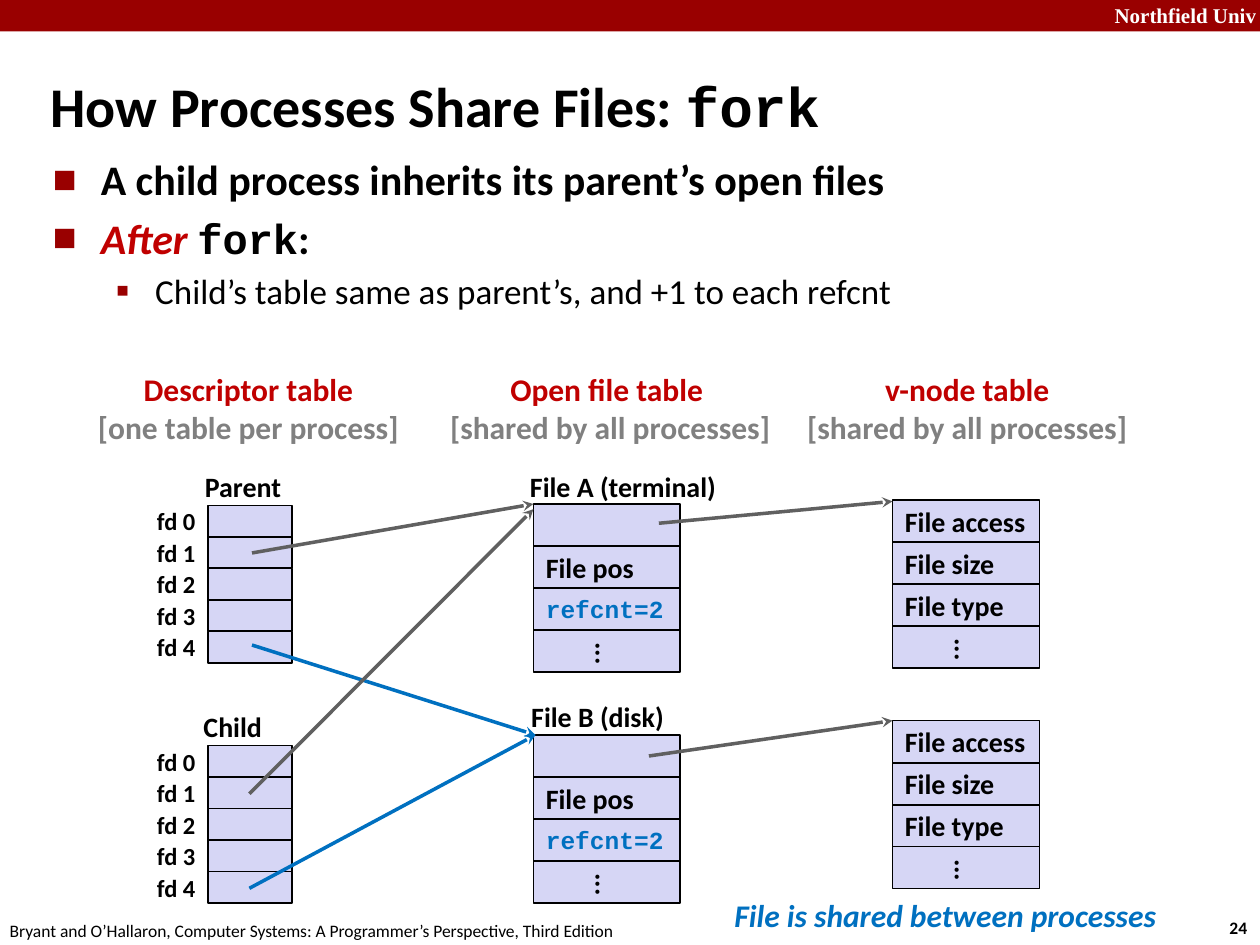
"""Build a slide on how parent and child processes share open files after fork."""
from dataclasses import dataclass

import lxml.etree
import pptx
import pptx.dml.color
import pptx.enum.shapes
import pptx.enum.text
import pptx.oxml.ns
import pptx.util

Pt = pptx.util.Pt
qn = pptx.oxml.ns.qn
Align = pptx.enum.text.PP_ALIGN
Anchor = pptx.enum.text.MSO_ANCHOR
COLORS = {
    "black": "000000", "white": "FFFFFF", "bar": "990000", "red": "C00000",
    "gray": "808080", "dark": "606060", "blue": "0070C0", "cell": "D6D6F5",
}


@dataclass
class Stack:
    """A column of equal cells."""
    left: float
    top: float
    width: float
    height: float
    rows: tuple


@dataclass
class Label:
    """Text lines in a box, each with its own colour."""
    lines: tuple
    left: float
    top: float
    width: float
    height: float
    size: float = 16
    align: Align = Align.LEFT
    hues: tuple = ("black",)
    font: str = "Calibri"
    bold: bool = True
    slant: bool = False
    wrap: bool = False


@dataclass
class Arrow:
    """A straight arrow between two points."""
    start: tuple
    end: tuple
    hue: str


def paint(name: str) -> pptx.dml.color.RGBColor:
    """Return the named colour."""
    return pptx.dml.color.RGBColor.from_string(COLORS[name])


def write(par, text: str, *, size: float, hue: str = "black", font: str = "Calibri",
          bold: bool = True, slant: bool = False) -> None:
    """Add a formatted run to a paragraph."""
    run = par.add_run()
    run.text = text
    run.font.size = Pt(size)
    run.font.name = font
    run.font.bold = bold
    run.font.italic = slant
    run.font.color.rgb = paint(hue)


def place(shape, left: float, top: float, width: float, height: float) -> None:
    """Move and size a shape, in points."""
    shape.left, shape.top = Pt(left), Pt(top)
    shape.width, shape.height = Pt(width), Pt(height)


def draw_box(slide, left: float, top: float, width: float, height: float,
             fill: str, edge: str | None = None):
    """Draw a flat rectangle."""
    box = slide.shapes.add_shape(pptx.enum.shapes.MSO_SHAPE.RECTANGLE,
                                 Pt(left), Pt(top), Pt(width), Pt(height))
    box.shadow.inherit = False
    box.fill.solid()
    box.fill.fore_color.rgb = paint(fill)
    if edge:
        box.line.color.rgb = paint(edge)
        box.line.width = Pt(1)
    else:
        box.line.fill.background()
    return box


def draw_stack(slide, stack: Stack) -> None:
    """Draw the cells of a stack from the top down."""
    for i, text in enumerate(stack.rows):
        box = draw_box(slide, stack.left, stack.top + i * stack.height,
                       stack.width, stack.height, "cell", "black")
        if not text:
            continue
        frame = box.text_frame
        frame.word_wrap = False
        frame.vertical_anchor = Anchor.MIDDLE
        par = frame.paragraphs[0]
        par.alignment = Align.LEFT
        if text.startswith("refcnt"):
            write(par, text, size=14, hue="blue", font="Courier New")
        else:
            write(par, text, size=16)
        if text == "...":
            frame._txBody.bodyPr.set("vert", "eaVert")


def draw_label(slide, label: Label) -> None:
    """Draw a text box."""
    box = slide.shapes.add_textbox(Pt(label.left), Pt(label.top),
                                   Pt(label.width), Pt(label.height))
    frame = box.text_frame
    frame.word_wrap = label.wrap
    frame.vertical_anchor = Anchor.MIDDLE
    for i, (text, hue) in enumerate(zip(label.lines, label.hues)):
        par = frame.add_paragraph() if i else frame.paragraphs[0]
        par.alignment = label.align
        write(par, text, size=label.size, hue=hue, font=label.font,
              bold=label.bold, slant=label.slant)


def draw_arrow(slide, arrow: Arrow) -> None:
    """Draw an arrow with a stealth head."""
    line = slide.shapes.add_connector(pptx.enum.shapes.MSO_CONNECTOR.STRAIGHT,
                                      *map(Pt, arrow.start + arrow.end))
    line.line.color.rgb = paint(arrow.hue)
    line.line.width = Pt(2)
    lxml.etree.SubElement(line.line._get_or_add_ln(), qn("a:tailEnd"), type="stealth")
    lxml.etree.SubElement(line._element.spPr, qn("a:effectLst"))


def add_point(par, sign: str, scale: int, left: float, hang: float, gap: float) -> None:
    """Give a paragraph its bullet, indent and gap."""
    par.space_before = Pt(gap)
    prop = par._p.get_or_add_pPr()
    prop.set("marL", str(Pt(left)))
    prop.set("indent", str(-Pt(hang)))
    hue = lxml.etree.SubElement(prop, qn("a:buClr"))
    lxml.etree.SubElement(hue, qn("a:srgbClr"), val=COLORS["bar"])
    lxml.etree.SubElement(prop, qn("a:buSzPct"), val=str(scale * 1000))
    lxml.etree.SubElement(prop, qn("a:buFont"), typeface="Calibri")
    lxml.etree.SubElement(prop, qn("a:buChar"), char=sign)


def fill_text(slide) -> None:
    """Fill the title and the list."""
    title, body = slide.shapes.title, slide.placeholders[1]
    place(title, 21.6, 30, 598, 60)
    place(body, 23, 84, 654, 102)
    for shape in (title, body):
        shape.text_frame.auto_size = pptx.enum.text.MSO_AUTO_SIZE.NONE
    title.text_frame.vertical_anchor = Anchor.MIDDLE
    head = title.text_frame.paragraphs[0]
    head.alignment = Align.LEFT
    write(head, "How Processes Share Files: ", size=32)
    write(head, "fork", size=32, font="Courier New")

    first = body.text_frame.paragraphs[0]
    after, child = (body.text_frame.add_paragraph() for _ in range(2))
    child.level = 1
    for par in (first, after):
        add_point(par, "■", 60, 27.4, 27.4, 4.8)
    add_point(child, "▪", 110, 58.5, 22.5, 4)
    write(first, "A child process inherits its parent’s open files", size=24)
    write(after, "After ", size=24, hue="red", slant=True)
    write(after, "fork", size=24, font="Courier New")
    write(after, ":", size=24)
    write(child, "Child’s table same as parent’s, and +1 to each refcnt", size=20, bold=False)


def main() -> None:
    """Build and save the slide."""
    deck = pptx.Presentation()
    deck.slide_width, deck.slide_height = Pt(720), Pt(540)
    slide = deck.slides.add_slide(deck.slide_layouts[1])
    fill_text(slide)
    draw_box(slide, 0, 0, 720, 18, "bar")

    for top in (288.8, 426):
        draw_stack(slide, Stack(118.8, top, 48, 18, ("",) * 5))
        for i in range(5):
            draw_label(slide, Label((f"fd {i}",), 70.8, top + 18 * i, 48, 18, 14, Align.RIGHT))
    for top in (288, 420):
        draw_stack(slide, Stack(304.8, top, 84, 24, ("", "File pos", "refcnt=2", "...")))
    for top in (285.8, 411.8):
        draw_stack(slide, Stack(510, top, 84, 24,
                                ("File access", "File size", "File type", "...")))

    shared = "[shared by all processes]"
    for name, note, left, width in (
        ("Descriptor table", "[one table per process]", 48, 188),
        ("Open file table ", shared, 249, 199.5),
        ("v-node table", shared, 453, 199.5),
    ):
        draw_label(slide, Label((name, note), left, 207.5, width, 51, 18,
                                Align.CENTER, ("red", "gray")))
    for label in (
        Label(("Parent",), 110, 264.5, 58, 26.6),
        Label(("Child",), 109.2, 402, 48, 26.6),
        Label(("File A (terminal)",), 295.8, 264.5, 121.5, 26.6),
        Label(("File B (disk)",), 296.5, 396, 91.5, 26.6),
        Label(("File is shared between processes",), 411, 508.5, 258.5, 29, 18,
              Align.CENTER, ("blue",), slant=True),
        Label(("Northfield Univ",), 622, -2, 103, 21.8, 12, Align.RIGHT, ("white",),
              "Times New Roman", wrap=True),
        Label(("24",), 695.5, 520.6, 26.6, 19.4, 10),
        Label(("Bryant and O’Hallaron, Computer Systems: A Programmer’s Perspective, "
               "Third Edition",), -1.5, 522, 366, 19.4, 10, bold=False),
    ):
        draw_label(slide, label)

    for arrow in (
        Arrow((144, 316), (304.8, 288), "dark"),
        Arrow((144, 368.6), (306, 420), "blue"),
        Arrow((142.5, 453.6), (304.8, 291), "dark"),
        Arrow((142.5, 507.6), (306, 420), "blue"),
        Arrow((376.5, 299), (510, 286.5), "dark"),
        Arrow((370.8, 432), (510, 411.8), "dark"),
    ):
        draw_arrow(slide, arrow)
    deck.save("out.pptx")


if __name__ == "__main__":
    main()
